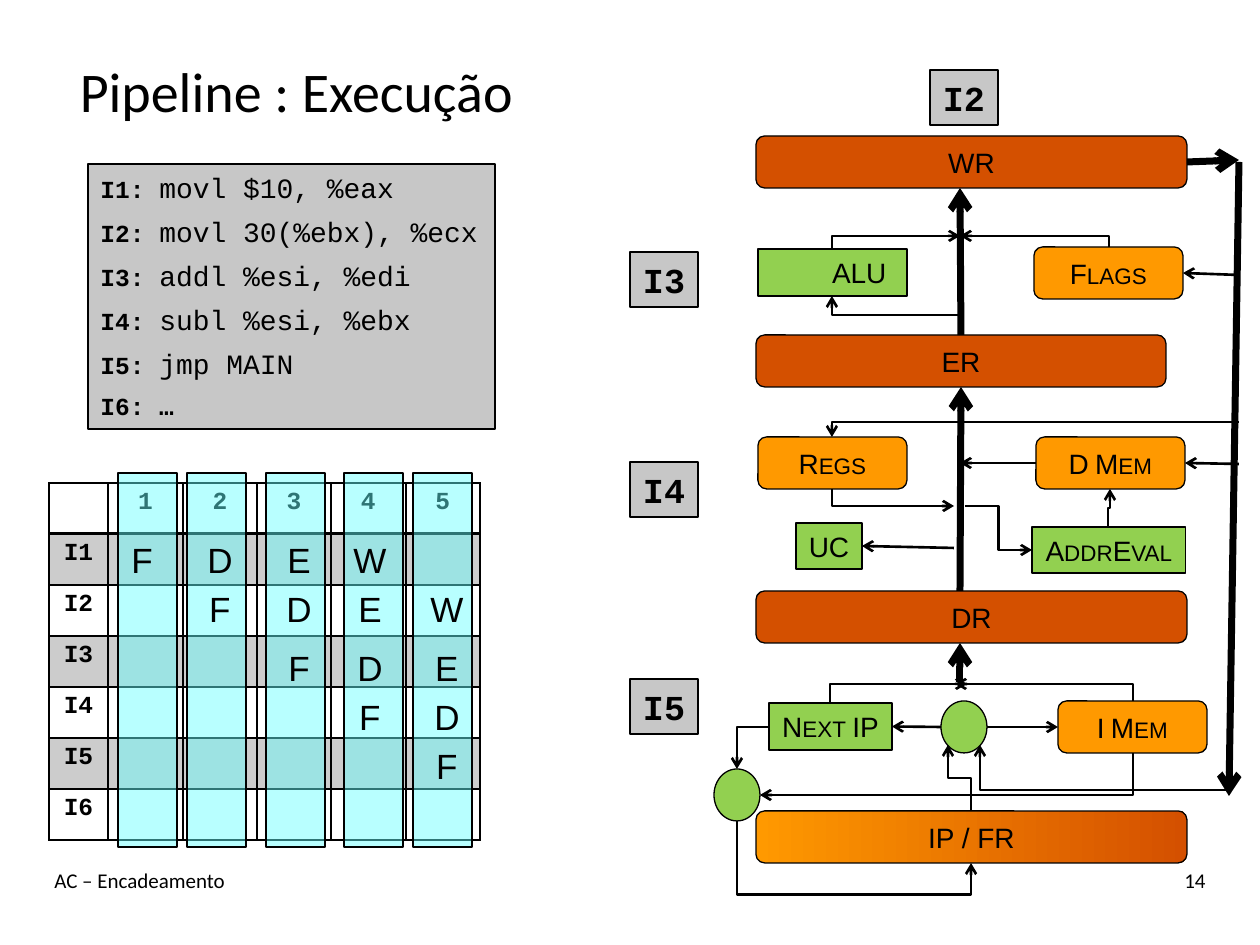
from dataclasses import dataclass

from lxml.etree import SubElement
from pptx import Presentation
from pptx.dml.color import RGBColor
from pptx.enum.shapes import MSO_CONNECTOR as LINK, MSO_SHAPE as SHAPE
from pptx.enum.text import MSO_ANCHOR as ANCHOR, PP_ALIGN as ALIGN
from pptx.oxml.ns import qn
from pptx.util import Emu, Pt

SCALE = 914400 // 126
TOP, LEFT, BOTTOM, RIGHT = range(4)


@dataclass(frozen=True)
class Theme:
    """Colours, fonts and type sizes of the slide."""
    ink: str = "000000"
    grey: str = "C7C7C7"
    strip: str = "66FFFF"
    register: str = "D45000"
    memory: str = "FF9900"
    logic: str = "92D050"
    sans: str = "Calibri"
    label: str = "Arial"
    mono: str = "Courier New"
    title: int = 32
    tag: int = 20
    body: int = 16
    code: int = 14
    small: int = 12


THEME = Theme()


def px(*lengths):
    """Turn pixel lengths into EMU."""
    return [Emu(length * SCALE) for length in lengths]


def colour(value):
    """Return the RGB colour of a hex string."""
    return RGBColor.from_string(value)


def style(font, size, name, bold=False):
    """Set size, face, weight and ink of a font."""
    font.size, font.name, font.bold = Pt(size), name, bold
    font.color.rgb = colour(THEME.ink)


def paint(fill, value, alpha=100):
    """Give a solid fill, with an opacity in percent."""
    fill.solid()
    fill.fore_color.rgb = colour(value)
    if alpha < 100:
        for tint in fill._xPr.iter(qn("a:srgbClr")):
            SubElement(tint, qn("a:alpha"), val=str(alpha * 1000))


def add_text(page, frame, text, size, name, align=ALIGN.LEFT, wrap=True, anchor=ANCHOR.TOP):
    """Add a one-paragraph text box."""
    box = page.shapes.add_textbox(*px(*frame))
    box.text_frame.word_wrap = wrap
    box.text_frame.vertical_anchor = anchor
    para = box.text_frame.paragraphs[0]
    para.text, para.alignment = text, align
    style(para.font, size, name)


def add_box(page, kind, frame, fill, weight=0.75, alpha=100):
    """Add an outlined shape with no text."""
    box = page.shapes.add_shape(kind, *px(*frame))
    box.shadow.inherit = False
    paint(box.fill, fill, alpha)
    box.line.color.rgb = colour(THEME.ink)
    box.line.width = Pt(weight)
    return box


def add_unit(page, kind, frame, fill, text, size=THEME.body, name=THEME.label, bold=False):
    """Add a labelled unit, in small caps when its label is mixed case."""
    box = add_box(page, kind, frame, fill)
    box.text_frame.word_wrap = False
    para = box.text_frame.paragraphs[0]
    para.text, para.alignment = text, ALIGN.CENTER
    style(para.font, size, name, bold)
    if text != text.upper():
        para.font._element.set("cap", "small")
    return box


def finish_line(line, weight):
    """Give a connector its ink, weight and open arrowhead."""
    line.line.color.rgb = colour(THEME.ink)
    line.line.width = Pt(weight)
    SubElement(line.line._get_or_add_ln(), qn("a:tailEnd"), type="arrow")
    SubElement(line._element.spPr, qn("a:effectLst"))


def add_arrow(page, start, end, weight=1.5, source=None, target=None):
    """Add a straight arrow, joined to (box, side) pairs where given."""
    line = page.shapes.add_connector(LINK.STRAIGHT, *px(*start, *end))
    if source:
        line.begin_connect(*source)
    if target:
        line.end_connect(*target)
    finish_line(line, weight)


def add_elbow(page, start, end, upright=True, bend=None):
    """Add a bent arrow with one corner, or two at the share bend of its run."""
    (x1, y1), (x2, y2) = start, end
    dx, dy, turn = x2 - x1, y2 - y1, 0
    if upright:
        turn = 90 if dx * dy < 0 else 270
        dx, dy = (dy, -dx) if turn == 90 else (-dy, dx)
    x, y = (x1 + x2 - dx) / 2, (y1 + y2 - dy) / 2
    ends = [Emu(int(value * SCALE)) for value in (x, y, x + dx, y + dy)]
    line = page.shapes.add_connector(LINK.ELBOW, *ends)
    shape = line._element.spPr
    if turn:
        shape.find(qn("a:xfrm")).set("rot", str(turn * 60000))
    preset = shape.find(qn("a:prstGeom"))
    if bend is None:
        preset.set("prst", "bentConnector2")
    else:
        SubElement(preset.find(qn("a:avLst")), qn("a:gd"), name="adj1", fmla=f"val {int(bend * 100000)}")
    finish_line(line, 1.5)


def set_borders(cell, top, bottom):
    """Draw the four borders of a cell."""
    props = cell._tc.get_or_add_tcPr()
    for side, weight in (("L", 1), ("R", 1), ("T", top), ("B", bottom)):
        edge = SubElement(props, qn(f"a:ln{side}"), w=str(Pt(weight)))
        SubElement(SubElement(edge, qn("a:solidFill")), qn("a:srgbClr"), val=THEME.ink)


def add_schedule(page):
    """Add the cycle table, its strips and the stage letters."""
    widths = (59, 75, 74, 74, 75, 74)
    table = page.shapes.add_table(7, 6, *px(49, 483, sum(widths), 7 * 51)).table
    table.first_row = table.horz_banding = False
    for column, width in zip(table.columns, px(*widths)):
        column.width = width
    for r, row in enumerate(table.rows):
        row.height = px(51)[0]
        for c, cell in enumerate(row.cells):
            para = cell.text_frame.paragraphs[0]
            if r == 0 and c:
                para.text = str(c)
            elif r and c == 0:
                para.text = f"I{r}"
            para.alignment = ALIGN.CENTER
            style(para.font, THEME.code, THEME.mono, True)
            set_borders(cell, 2 if r == 1 else 1, 2 if r == 0 else 1)
            if r % 2:
                paint(cell.fill, THEME.ink, 20)
            else:
                cell.fill.background()
    for x in (413, 344, 266, 187, 118):
        add_box(page, SHAPE.RECTANGLE, (x, 473, 59, 374), THEME.strip, alpha=46)
    centres = (142, 220, 299, 370, 447)
    for first, y in enumerate((532, 581, 640, 689, 738)):
        for stage, x in zip("FDEW", centres[first:]):
            add_text(page, (x - 30, y, 60, 55), stage, THEME.tag, THEME.label, ALIGN.CENTER, False)


def add_code(page):
    """Add the program listing."""
    box = add_box(page, SHAPE.RECTANGLE, (88, 164, 407, 265), THEME.grey, 1.25)
    frame = box.text_frame
    frame.word_wrap, frame.vertical_anchor = False, ANCHOR.TOP
    lines = ("movl $10, %eax", "movl 30(%ebx), %ecx", "addl %esi, %edi", "subl %esi, %ebx", "jmp MAIN", "…")
    for number, code in enumerate(lines, 1):
        para = frame.paragraphs[0] if number == 1 else frame.add_paragraph()
        para.alignment, para.space_after = ALIGN.LEFT, Pt(6)
        last = number == len(lines)
        for text, size, bold in ((f"I{number}: ", THEME.code, True), (code, THEME.code if last else THEME.body, last)):
            span = para.add_run()
            span.text = text
            style(span.font, size, THEME.mono, bold)


def add_datapath(page):
    """Add the processor units and the arrows between them."""
    def unit(kind, fill, text, *frame):
        return add_unit(page, kind, frame, fill, text)

    rounded, square = SHAPE.ROUNDED_RECTANGLE, SHAPE.RECTANGLE
    wr = unit(rounded, THEME.register, "WR", 756, 136, 431, 52)
    er = unit(rounded, THEME.register, "ER", 756, 335, 410, 52)
    unit(rounded, THEME.register, "DR", 756, 591, 431, 52)
    fetch = unit(rounded, THEME.memory, "IP / FR", 756, 811, 431, 52)
    fetch.fill.gradient()
    fetch.fill.gradient_angle = 0
    for stop, value, place in zip(fetch.fill.gradient_stops, (THEME.memory, THEME.register), (0, 1)):
        stop.color.rgb, stop.position = colour(value), place
    flags = unit(rounded, THEME.memory, "Flags", 1034, 247, 149, 52)
    unit(rounded, THEME.memory, "Regs", 758, 437, 149, 52)
    data = unit(rounded, THEME.memory, "D Mem", 1036, 437, 149, 52)
    code = unit(rounded, THEME.memory, "I Mem", 1058, 701, 149, 52)
    alu = unit(square, THEME.logic, "ALU", 758, 249, 149, 47)
    alu.text_frame.margin_left = px(66)[0]
    control = unit(square, THEME.logic, "UC", 796, 523, 66, 46)
    unit(square, THEME.logic, "AddrEval", 1032, 527, 154, 46)
    following = unit(square, THEME.logic, "Next IP", 769, 703, 123, 47)
    for x, y in ((941, 701), (714, 769)):
        add_box(page, SHAPE.OVAL, (x, y, 46, 52), THEME.logic)

    add_arrow(page, (960, 682), (960, 643), 4)
    add_arrow(page, (960, 591), (960, 387), 4, target=(er, BOTTOM))
    add_arrow(page, (960, 335), (960, 188), 4, source=(er, TOP))
    add_arrow(page, (1187, 162), (1239, 160), 4, source=(wr, RIGHT))
    add_arrow(page, (1239, 162), (1229, 796), 4)
    add_arrow(page, (1239, 275), (1183, 273), target=(flags, RIGHT))
    add_arrow(page, (1239, 464), (1185, 463), target=(data, RIGHT))
    add_arrow(page, (1036, 463), (960, 463), source=(data, LEFT))
    add_arrow(page, (954, 548), (862, 546), target=(control, RIGHT))
    add_arrow(page, (987, 727), (1058, 727), target=(code, LEFT))
    add_arrow(page, (941, 727), (892, 727), target=(following, RIGHT))
    for start, end in (((832, 249), (960, 236)), ((1109, 247), (960, 236)), ((832, 489), (954, 506)),
                       ((830, 703), (967, 684)), ((1133, 701), (955, 684)), ((1133, 753), (760, 795))):
        add_elbow(page, start, end)
    for start, end in (((960, 315), (832, 296)), ((1239, 422), (832, 437)),
                       ((1229, 790), (980, 745)), ((769, 727), (737, 769))):
        add_elbow(page, start, end, upright=False)
    add_elbow(page, (965, 506), (1032, 550), upright=False, bend=0.5)
    add_elbow(page, (1108, 527), (1110, 489), bend=0.5)
    add_elbow(page, (971, 811), (948, 745), bend=0.5)
    add_elbow(page, (737, 821), (971, 863), bend=1.75)
    for text, x, y in (("I2", 930, 70), ("I3", 630, 252), ("I4", 630, 462), ("I5", 630, 679)):
        add_unit(page, square, (x, y, 68, 55), THEME.grey, text, THEME.tag, THEME.mono, True)


def main():
    """Build and save the slide."""
    deck = Presentation()
    deck.slide_width, deck.slide_height = px(1260, 945)
    page = deck.slides.add_slide(deck.slide_layouts[6])
    add_schedule(page)
    add_text(page, (42, 32, 509, 116), "Pipeline : Execução", THEME.title, THEME.sans, ALIGN.CENTER, anchor=ANCHOR.MIDDLE)
    add_text(page, (42, 861, 882, 63), "AC – Encadeamento", THEME.small, THEME.sans)
    add_text(page, (1050, 861, 168, 63), "14", THEME.small, THEME.sans, ALIGN.RIGHT)
    add_code(page)
    add_datapath(page)
    deck.save("out.pptx")


if __name__ == "__main__":
    main()
